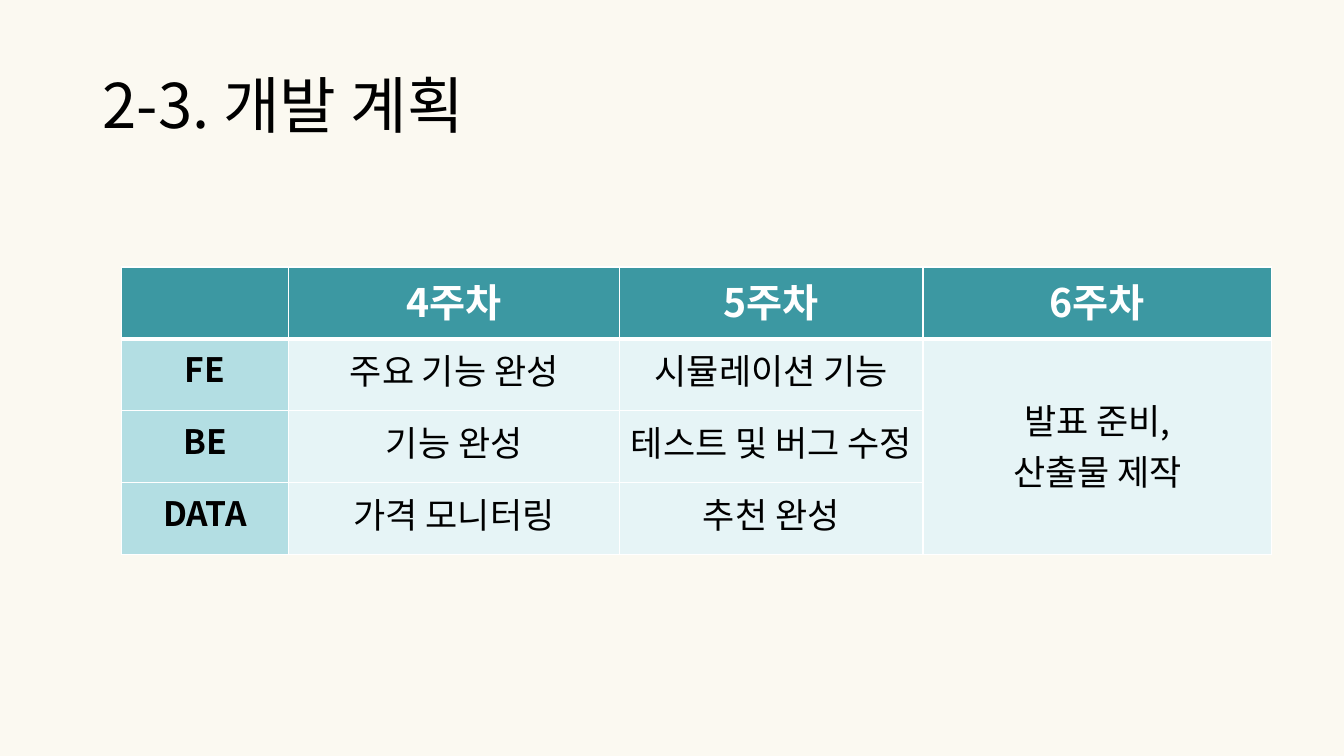
from lxml import etree
from pptx import Presentation
from pptx.dml.color import RGBColor
from pptx.enum.text import MSO_ANCHOR, MSO_AUTO_SIZE, PP_ALIGN
from pptx.oxml.ns import qn
from pptx.util import Cm, Pt

LEFT, CENTER = PP_ALIGN.LEFT, PP_ALIGN.CENTER
MIDDLE = MSO_ANCHOR.MIDDLE
NO_AUTOFIT = MSO_AUTO_SIZE.NONE
FONT = "Noto Sans CJK KR"
CREAM = RGBColor(0xFB, 0xF9, 0xF1)
BLACK = RGBColor(0x00, 0x00, 0x00)
WHITE = RGBColor(0xFF, 0xFF, 0xFF)
TEAL = RGBColor(0x3C, 0x98, 0xA2)
AQUA = RGBColor(0xB3, 0xDE, 0xE3)
MIST = RGBColor(0xE6, 0xF4, 0xF6)

PLAN = [
    ["", "4주차", "5주차", "6주차"],
    ["FE", "주요 기능 완성", "시뮬레이션 기능", "발표 준비,\n산출물 제작"],
    ["BE", "기능 완성", "테스트 및 버그 수정", ""],
    ["DATA", "가격 모니터링", "추천 완성", ""],
]
COLUMN_WIDTHS = [4.22, 8.33, 7.65, 8.79]
ROW_HEIGHT = 1.81


class Deck:
    def __init__(self):
        self.prs = Presentation()
        self.prs.slide_width, self.prs.slide_height = Cm(33.87), Cm(19.05)
        self.s = self.prs.slides.add_slide(self.prs.slide_layouts[5])
        fill = self.s.background.fill
        fill.solid()
        fill.fore_color.rgb = CREAM

    def run(self, p, text, size, color, bold=False):
        r = p.add_run()
        r.text = text
        r.font.size = Pt(size)
        r.font.bold = bold
        r.font.color.rgb = color
        r.font.name = FONT
        etree.SubElement(r.font._element, qn("a:ea"), typeface=FONT)

    def title(self, text, left, top, width, height):
        sp = self.s.shapes.title
        sp.left, sp.top, sp.width, sp.height = Cm(left), Cm(top), Cm(width), Cm(height)
        tf = sp.text_frame
        tf.auto_size = NO_AUTOFIT
        tf.vertical_anchor = MIDDLE
        p = tf.paragraphs[0]
        p.alignment = LEFT
        p.line_spacing = 0.9
        self.run(p, text, 44, BLACK)

    def borders(self, cell, top, bottom):
        tcPr = cell._tc.get_or_add_tcPr()
        sides = [("a:lnL", 1), ("a:lnR", 1), ("a:lnT", top), ("a:lnB", bottom)]
        for i, (tag, width) in enumerate(sides):
            ln = etree.Element(qn(tag), w=str(Pt(width)))
            fill = etree.SubElement(ln, qn("a:solidFill"))
            etree.SubElement(fill, qn("a:srgbClr"), val=str(WHITE))
            tcPr.insert(i, ln)

    def cell(self, cell, text, fill, size, color, bold):
        cell.fill.solid()
        cell.fill.fore_color.rgb = fill
        tf = cell.text_frame
        for i, line in enumerate(text.split("\n")):
            p = tf.add_paragraph() if i else tf.paragraphs[0]
            p.alignment = CENTER
            if line:
                self.run(p, line, size, color, bold)

    def table(self, rows, widths, row_height, left, top):
        frame = self.s.shapes.add_table(
            len(rows), len(widths), Cm(left), Cm(top),
            Cm(sum(widths)), Cm(row_height * len(rows)))
        table = frame.table
        table.horz_banding = False
        for column, width in zip(table.columns, widths):
            column.width = Cm(width)
        for i, texts in enumerate(rows):
            table.rows[i].height = Cm(row_height)
            for j, text in enumerate(texts):
                if i == 0:
                    style = TEAL, 28, WHITE, True
                elif j == 0:
                    style = AQUA, 24, BLACK, True
                else:
                    style = MIST, 25, BLACK, False
                cell = table.cell(i, j)
                self.cell(cell, text, *style)
                self.borders(cell, 3 if i == 1 else 1, 3 if i == 0 else 1)
        return table


def main():
    deck = Deck()
    deck.title("2-3. 개발 계획", 2.33, 0.9, 29.21, 3.68)
    table = deck.table(PLAN, COLUMN_WIDTHS, ROW_HEIGHT, 3.06, 6.73)
    final_week = table.cell(1, 3)
    final_week.merge(table.cell(3, 3))
    final_week.margin_top = Cm(1.4)
    deck.prs.save("out.pptx")


if __name__ == "__main__":
    main()
